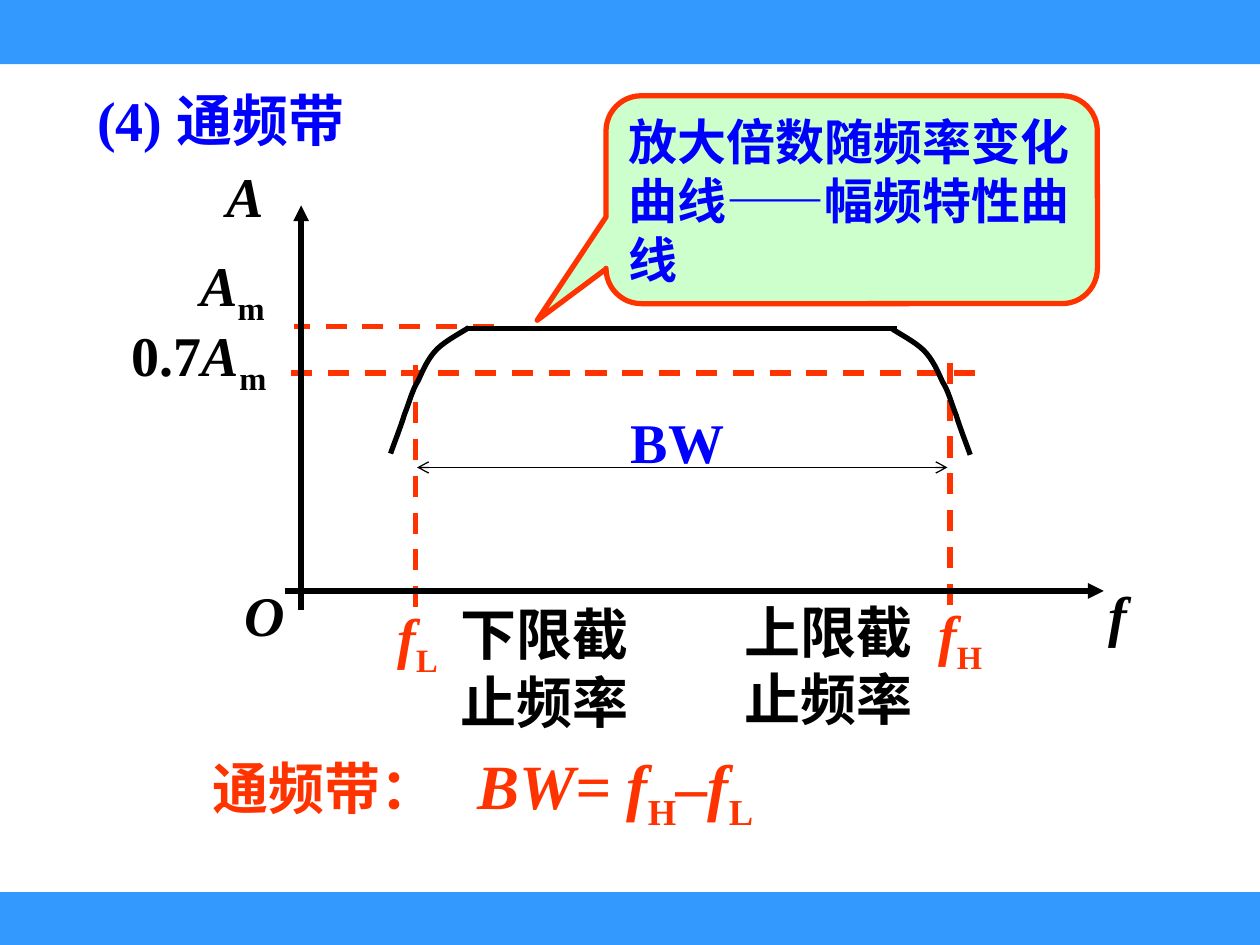
from dataclasses import dataclass

from pptx import Presentation
from pptx.dml.color import RGBColor
from pptx.enum.dml import MSO_LINE
from pptx.enum.shapes import MSO_CONNECTOR, MSO_SHAPE
from pptx.enum.text import MSO_ANCHOR, MSO_AUTO_SIZE, PP_ALIGN
from pptx.oxml.ns import qn
from pptx.util import Inches, Pt
from lxml import etree

DASH = MSO_LINE.DASH
LEFT, CENTER = PP_ALIGN.LEFT, PP_ALIGN.CENTER
RECTANGLE = MSO_SHAPE.RECTANGLE
CALLOUT = MSO_SHAPE.ROUNDED_RECTANGULAR_CALLOUT
COLUMNS, ROWS = 100, 75  # square grid over the slide


@dataclass(frozen=True)
class Theme:
    font: str = "Times New Roman"
    bar: RGBColor = RGBColor(0x33, 0x99, 0xFF)
    blue: RGBColor = RGBColor(0x00, 0x00, 0xFF)
    red: RGBColor = RGBColor(0xFF, 0x33, 0x00)
    black: RGBColor = RGBColor(0x00, 0x00, 0x00)
    green: RGBColor = RGBColor(0xCC, 0xFF, 0xCC)
    label: int = 32
    formula: int = 36
    note: int = 28
    heavy: float = 3
    thin: float = 0.75


@dataclass(frozen=True)
class Run:
    text: str
    italic: bool = False
    subscript: bool = False


@dataclass(frozen=True)
class Label:
    box: tuple  # left, top, width, height in grid units
    runs: tuple
    color: RGBColor
    align: PP_ALIGN = LEFT
    size: int = Theme.label


@dataclass(frozen=True)
class Segment:
    start: tuple
    end: tuple
    color: RGBColor = Theme.black
    width: float = Theme.heavy
    dashed: bool = False
    head: str = ""
    tail: str = ""


theme = Theme()
presentation = Presentation()
presentation.slide_width, presentation.slide_height = Inches(10), Inches(7.5)
slide = presentation.slides.add_slide(presentation.slide_layouts[5])
UNIT = presentation.slide_width / COLUMNS


def grid(*values: float) -> list[int]:
    return [round(value * UNIT) for value in values]


def set_values(target, values: dict) -> None:
    for name, value in values.items():
        setattr(target, name, value)


def write(shape, label: Label) -> None:
    frame = shape.text_frame
    set_values(frame, {"word_wrap": True, "auto_size": MSO_AUTO_SIZE.NONE,
                       "vertical_anchor": MSO_ANCHOR.MIDDLE})
    paragraph = frame.paragraphs[0]
    paragraph.alignment = label.align
    for part in label.runs:
        run = paragraph.add_run()
        run.text = part.text
        set_values(run.font, {"name": theme.font, "size": Pt(label.size),
                              "bold": True, "italic": part.italic})
        run.font.color.rgb = label.color
        if part.subscript:
            run.font._element.set("baseline", "-25000")


def add_label(label: Label) -> None:
    write(slide.shapes.add_textbox(*grid(*label.box)), label)


def add_box(kind: MSO_SHAPE, box: tuple, fill: RGBColor, line: RGBColor, width: float):
    shape = slide.shapes.add_shape(kind, *grid(*box))
    shape.shadow.inherit = False
    shape.fill.solid()
    shape.fill.fore_color.rgb = fill
    shape.line.color.rgb = line
    shape.line.width = Pt(width)
    return shape


def add_segment(segment: Segment) -> None:
    connector = slide.shapes.add_connector(
        MSO_CONNECTOR.STRAIGHT, *grid(*segment.start, *segment.end))
    connector.line.color.rgb = segment.color
    connector.line.width = Pt(segment.width)
    if segment.dashed:
        connector.line.dash_style = DASH
    outline = connector.line._get_or_add_ln()
    for tag, kind in (("a:headEnd", segment.head), ("a:tailEnd", segment.tail)):
        if kind:
            etree.SubElement(outline, qn(tag)).set("type", kind)
    etree.SubElement(connector._element.spPr, qn("a:effectLst"))


def bezier(points: list, share: float) -> tuple:
    rest = 1 - share
    weights = (rest ** 3, 3 * rest ** 2 * share, 3 * rest * share ** 2, share ** 3)
    return tuple(sum(w * p[axis] for w, p in zip(weights, points)) for axis in (0, 1))


def add_shoulder(left: float, top: float, direction: int, steps: int = 8) -> None:
    """Draw the roll-off, running left (-1) or right (1) from the flat top."""
    controls = [(left + direction * x, top + y) for x, y in SHOULDER]
    points = [bezier(controls[first:first + 4], step / steps)
              for first in range(0, len(controls) - 1, 3)
              for step in range(1, steps + 1)]
    builder = slide.shapes.build_freeform(*grid(*controls[0]), scale=1.0)
    builder.add_line_segments([tuple(grid(*point)) for point in points], close=False)
    curve = builder.convert_to_shape()
    curve.shadow.inherit = False
    curve.fill.background()
    curve.line.color.rgb = theme.black
    curve.line.width = Pt(theme.heavy)


# Offsets of the cubic curve's points from the end of the flat top
SHOULDER = ((0, 0), (0.4, 0.3), (1.8, 1), (2.5, 1.7), (3.2, 2.4), (3.6, 3.3), (4, 4.2),
            (4.5, 5), (4.7, 5.9), (5.1, 6.9), (5.4, 7.9), (6, 9.4), (6.2, 10))

GUIDES = [
    Segment(start, end, theme.red, dashed=True) for start, end in (
        ((39.2, 25.9), (23.3, 25.9)), ((23.1, 29.6), (78.5, 29.6)),
        ((33, 29), (33, 49)), ((75.4, 28.8), (75.4, 48.8)))
]
AXES_AND_TOP = [
    Segment((23.9, 16.3), (23.9, 48.4), head="triangle"),
    Segment((22.6, 46.9), (87.6, 46.9), tail="triangle"),
    Segment((37, 26.1), (71.2, 26.1)),
    Segment((33.1, 37.1), (75.2, 37.1), width=theme.thin, head="arrow", tail="arrow"),
]

AMPLITUDE, FREQUENCY = Run("A", italic=True), Run("f", italic=True)
SUB_M, SUB_L, SUB_H = (Run(letter, subscript=True) for letter in "mLH")
LABELS = [
    Label((12.3, 19.8, 12.3, 6.3), (AMPLITUDE, SUB_M), theme.black, CENTER),
    Label((8.3, 25.3, 15, 6.3), (Run("0.7"), AMPLITUDE, SUB_M), theme.black, CENTER),
    Label((29.5, 47.7, 7.3, 6.3), (FREQUENCY, SUB_L), theme.red, CENTER),
    Label((35.6, 47.1, 15.9, 11.7), (Run("下限截止频率"),), theme.black),
    Label((72.5, 47.5, 7.4, 6.3), (FREQUENCY, SUB_H), theme.red, CENTER),
    Label((58.1, 46.9, 16.1, 11.7), (Run("上限截止频率"),), theme.black),
    Label((14.8, 59.3, 21.9, 6.3), (Run("通频带："),), theme.red, CENTER),
    Label((36.9, 59.2, 29.7, 7),
          (Run("BW= f", italic=True), SUB_H, Run("–f", italic=True), SUB_L),
          theme.red, size=theme.formula),
    Label((49.1, 31.8, 13.6, 6.4), (Run("BW"),), theme.blue),
    Label((87, 45.6, 10.4, 6.3), (FREQUENCY,), theme.black),
    Label((14.7, 12.3, 9.6, 6.3), (AMPLITUDE,), theme.black, CENTER),
    Label((18.4, 45.6, 5.2, 6.3), (Run("O", italic=True),), theme.black, CENTER),
]

# Bars along the top and bottom edges
for top, height in ((0, 5.1), (70.8, ROWS - 70.8)):
    bar = add_box(RECTANGLE, (0, top, COLUMNS, height), theme.bar, theme.bar, 0)
    bar.line.fill.background()

# Title
title = slide.shapes.title
heading = Label((6.7, 6.3, 27.6, 6.3), (Run("(4) 通频带"),), theme.blue)
set_values(title, dict(zip(("left", "top", "width", "height"), grid(*heading.box))))
write(title, heading)

# Dashed guides, then the note that points at the curve
for guide in GUIDES:
    add_segment(guide)
note = Label((48.1, 7.6, 39, 16.5), (Run("放大倍数随频率变化曲线——幅频特性曲线"),),
             theme.blue, size=theme.note)
callout = add_box(CALLOUT, note.box, theme.green, theme.red, theme.heavy)
for index, value in enumerate((-0.64, 0.58, 0.17)):
    callout.adjustments[index] = value
write(callout, note)

# Axes, response curve and labels
for segment in AXES_AND_TOP:
    add_segment(segment)
add_shoulder(37.2, 26, -1)
add_shoulder(70.8, 26.1, 1)
for label in LABELS:
    add_label(label)

presentation.save("out.pptx")
